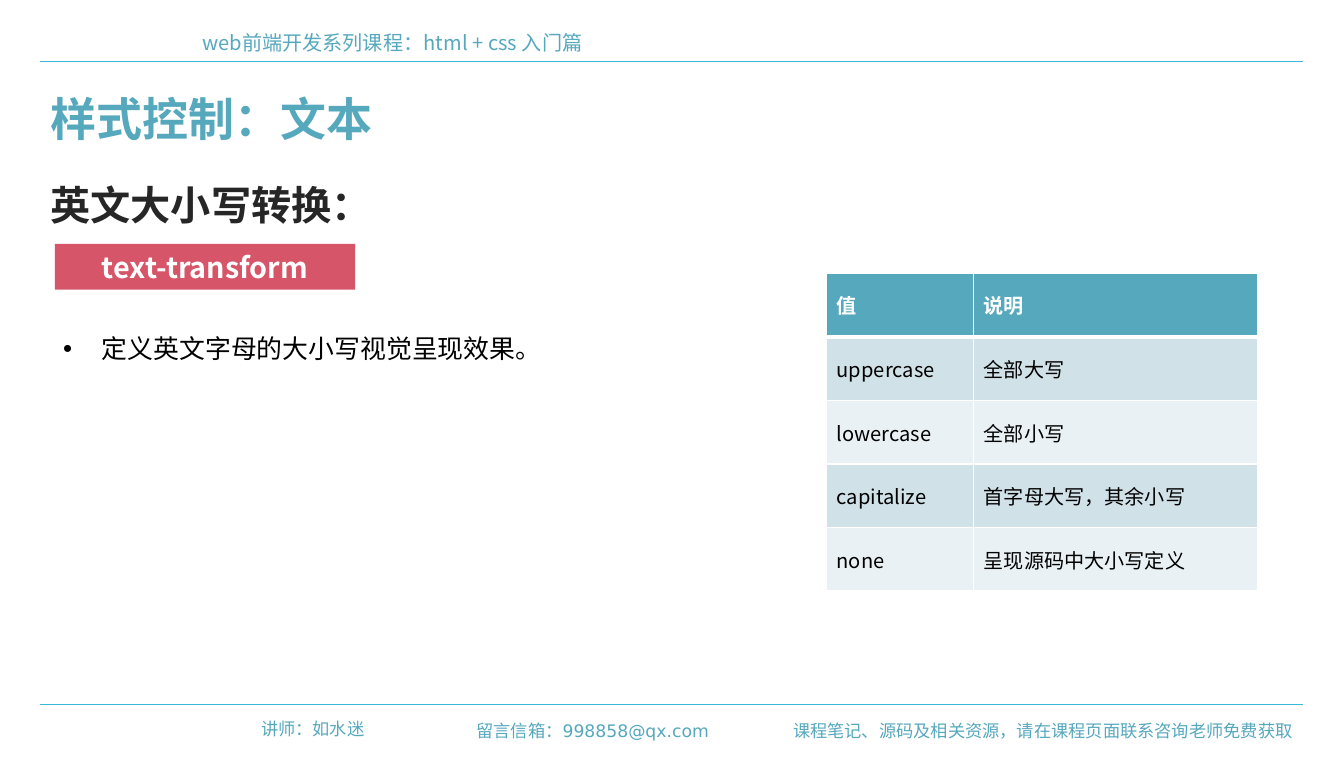
from dataclasses import dataclass
from typing import Optional

from pptx import Presentation
from pptx.dml.color import RGBColor
from pptx.enum.shapes import MSO_CONNECTOR, MSO_SHAPE
from pptx.enum.text import MSO_ANCHOR, MSO_AUTO_SIZE, PP_ALIGN
from pptx.oxml import parse_xml
from pptx.oxml.ns import nsdecls, qn
from pptx.util import Cm, Pt
from lxml.etree import SubElement


@dataclass(frozen=True)
class Theme:
    teal: str = "56A8BD"
    rule: str = "3CB7D7"
    red: str = "D75569"
    dark: str = "262626"
    black: str = "000000"
    white: str = "FFFFFF"
    bands: tuple = ("D1E1E8", "E9F1F4")
    sans: str = "DejaVu Sans"
    cjk: str = "Noto Sans CJK SC"
    title: int = 32
    heading: int = 28
    tag: int = 20
    body: int = 18
    small: int = 14
    footer: int = 12


T = Theme()


@dataclass(frozen=True)
class Style:
    size: int
    color: str
    font: str = T.cjk
    bold: bool = False


@dataclass(frozen=True)
class Label:
    text: str
    left: float
    top: float
    width: float
    height: float
    style: Style
    align: PP_ALIGN = PP_ALIGN.LEFT
    fill: Optional[str] = None
    bullet: bool = False


FOOTER = Style(T.footer, T.teal, T.sans)
LABELS = [
    # Course header
    Label("web前端开发系列课程：html + css 入门篇", 4.72, 0.61, 26.7, 0.86,
          Style(T.small, T.teal)),
    # Footer
    Label("讲师：如水迷", 5.69, 17.5, 3.51, 0.76, FOOTER, PP_ALIGN.RIGHT),
    Label("留言信箱：998858@qx.com", 10.9, 17.55, 6.76, 0.76, FOOTER,
          PP_ALIGN.RIGHT),
    Label("课程笔记、源码及相关资源，请在课程页面联系咨询老师免费获取",
          19.1, 17.55, 12.9, 0.76, FOOTER, PP_ALIGN.RIGHT),
    # Title, heading, property tag and explanation
    Label("样式控制：文本", 0.99, 2.11, 30.99, 1.63,
          Style(T.title, T.teal, T.sans, True)),
    Label("英文大小写转换：", 0.99, 4.29, 16.89, 1.45,
          Style(T.heading, T.dark, bold=True)),
    Label("text-transform", 1.35, 5.99, 7.37, 1.12,
          Style(T.tag, T.white, bold=True), PP_ALIGN.CENTER, T.red),
    Label("定义英文字母的大小写视觉呈现效果。", 1.3, 7.29, 19.41, 1.55,
          Style(T.body, T.black, T.sans), bullet=True),
]

RULE_LEFT, RULE_RIGHT = 0.99, 32
RULE_TOPS = (1.5, 17.3)

TABLE_LEFT, TABLE_TOP = 20.29, 6.71
COL_WIDTHS = (3.61, 6.98)
ROW_HEIGHT = 1.56
VALUES = [
    ("值", "说明"),
    ("uppercase", "全部大写"),
    ("lowercase", "全部小写"),
    ("capitalize", "首字母大写，其余小写"),
    ("none", "呈现源码中大小写定义"),
]


def rgb(color: str) -> RGBColor:
    return RGBColor.from_string(color)


def write(tf, text: str, style: Style, align=PP_ALIGN.LEFT):
    """Fill the first paragraph and return it."""
    p = tf.paragraphs[0]
    p.alignment = align
    r = p.add_run()
    r.text = text
    r.font.color.rgb = rgb(style.color)
    formats = {"size": Pt(style.size), "bold": style.bold, "name": style.font}
    for name, value in formats.items():
        setattr(r.font, name, value)
    ea = parse_xml(f'<a:ea {nsdecls("a")} typeface="{T.cjk}"/>')
    r.font._element.find(qn("a:latin")).addnext(ea)
    return p


def add_bullet(p) -> None:
    p.line_spacing = 2.0
    pPr = p._p.get_or_add_pPr()
    pPr.set("marL", str(Cm(0.95)))
    pPr.set("indent", str(-Cm(0.95)))
    SubElement(pPr, qn("a:buFont")).set("typeface", "Arial")
    SubElement(pPr, qn("a:buChar")).set("char", "•")


def add_label(s, label: Label) -> None:
    box = [Cm(v) for v in (label.left, label.top, label.width, label.height)]
    if label.fill:
        sp = s.shapes.add_shape(MSO_SHAPE.RECTANGLE, *box)
        sp.shadow.inherit = False
        sp.fill.solid()
        sp.fill.fore_color.rgb = rgb(label.fill)
        sp.line.fill.background()
    else:
        sp = s.shapes.add_textbox(*box)
    tf = sp.text_frame
    formats = {
        "word_wrap": True,
        "auto_size": MSO_AUTO_SIZE.SHAPE_TO_FIT_TEXT,
        "vertical_anchor": MSO_ANCHOR.MIDDLE if label.fill else MSO_ANCHOR.TOP,
    }
    for name, value in formats.items():
        setattr(tf, name, value)
    p = write(tf, label.text, label.style, label.align)
    if label.bullet:
        add_bullet(p)


def add_rule(s, top: float) -> None:
    line = s.shapes.add_connector(MSO_CONNECTOR.STRAIGHT, Cm(RULE_LEFT),
                                  Cm(top), Cm(RULE_RIGHT), Cm(top))
    line.line.color.rgb = rgb(T.rule)
    line.line.width = Pt(0.75)
    SubElement(line._element.spPr, qn("a:effectLst"))


def add_borders(cell, widths: dict) -> None:
    tcPr = cell._tc.get_or_add_tcPr()
    for i, (side, width) in enumerate(widths.items()):
        tcPr.insert(i, parse_xml(
            f'<a:ln{side} {nsdecls("a")} w="{Pt(width)}"><a:solidFill>'
            f'<a:srgbClr val="{T.white}"/></a:solidFill></a:ln{side}>'))


def add_values(s) -> None:
    frame = s.shapes.add_table(len(VALUES), len(COL_WIDTHS), Cm(TABLE_LEFT),
                               Cm(TABLE_TOP), Cm(sum(COL_WIDTHS)),
                               Cm(ROW_HEIGHT * len(VALUES)))
    table = frame.table
    for col, width in zip(table.columns, COL_WIDTHS):
        col.width = Cm(width)
    for i, texts in enumerate(VALUES):
        table.rows[i].height = Cm(ROW_HEIGHT)
        header = i == 0
        fill = T.teal if header else T.bands[(i - 1) % 2]
        style = Style(T.small, T.white if header else T.black, bold=header)
        widths = {"L": 1, "R": 1, "T": 3 if i == 1 else 1,
                  "B": 3 if header else 1}
        for j, text in enumerate(texts):
            cell = table.cell(i, j)
            cell.vertical_anchor = MSO_ANCHOR.MIDDLE
            cell.fill.solid()
            cell.fill.fore_color.rgb = rgb(fill)
            add_borders(cell, widths)
            write(cell.text_frame, text, style)


prs = Presentation()
prs.slide_width, prs.slide_height = Cm(33), Cm(19)
s = prs.slides.add_slide(prs.slide_layouts[6])
for top in RULE_TOPS:
    add_rule(s, top)
for label in LABELS:
    add_label(s, label)
add_values(s)
prs.save("out.pptx")
